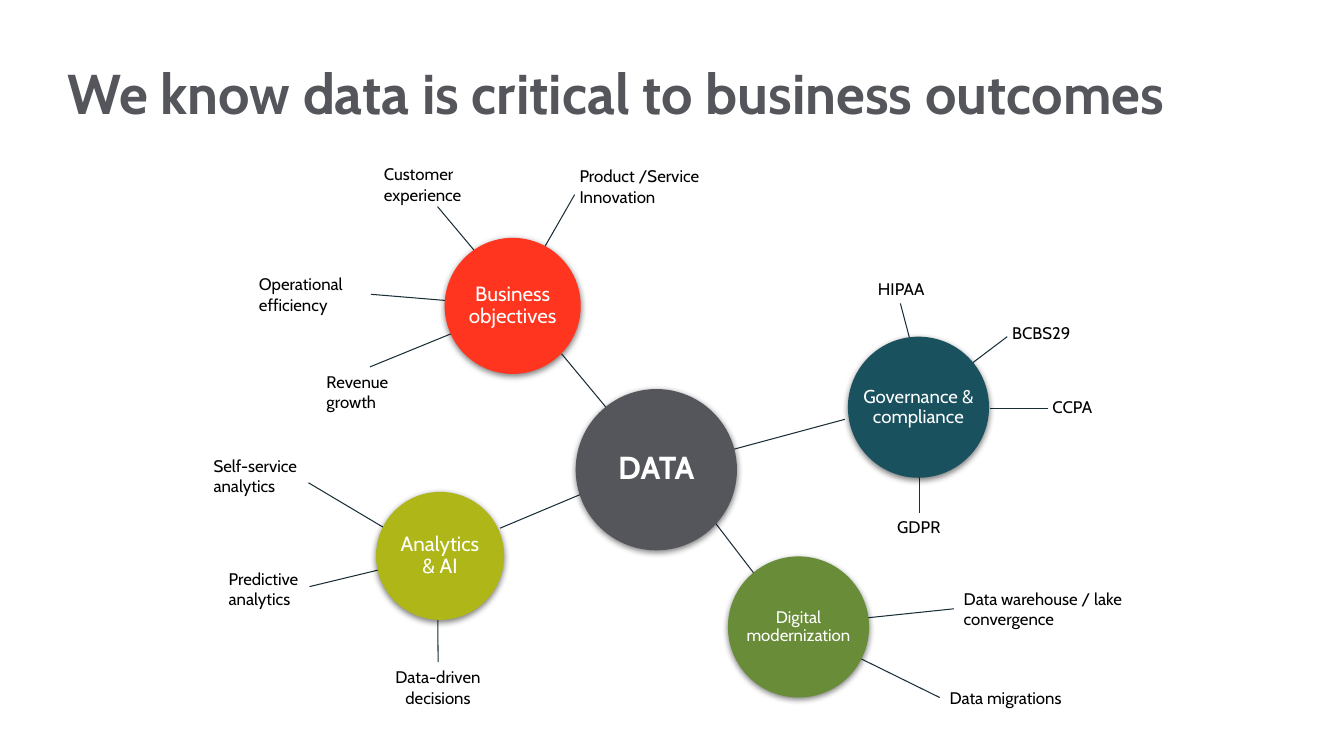
import pptx
import pptx.util
import pptx.dml.color
import pptx.enum.shapes
import pptx.enum.text
import pptx.oxml
import pptx.oxml.ns

PX = 9144
FONT = "Cabin"
RGBColor = pptx.dml.color.RGBColor
GREY = RGBColor(0x54, 0x56, 0x5B)
BLACK = RGBColor(0, 0, 0)
WHITE = RGBColor(0xFF, 0xFF, 0xFF)
INK = RGBColor(0x19, 0x2E, 0x36)
TEAL = RGBColor(0x1A, 0x51, 0x5F)
RED = RGBColor(0xFF, 0x35, 0x1F)
LIME = RGBColor(0xAE, 0xB6, 0x18)
GREEN = RGBColor(0x68, 0x8C, 0x38)
LEFT = pptx.enum.text.PP_ALIGN.LEFT
CENTER = pptx.enum.text.PP_ALIGN.CENTER
TOP = pptx.enum.text.MSO_ANCHOR.TOP
MIDDLE = pptx.enum.text.MSO_ANCHOR.MIDDLE

SHADOW = (
    f'<a:effectLst {pptx.oxml.ns.nsdecls("a")}>'
    '<a:outerShdw blurRad="57150" dist="19050" dir="5400000" algn="ctr" rotWithShape="0">'
    '<a:srgbClr val="000000"><a:alpha val="49000"/></a:srgbClr>'
    '</a:outerShdw></a:effectLst>'
)
NO_EFFECT = f'<a:effectLst {pptx.oxml.ns.nsdecls("a")}/>'

LABELS = [
    ("Customer experience", (371, 158, 116, 50), LEFT, (506, 291), (434, 205), None),
    ("Product /Service Innovation", (565, 160, 153, 50), LEFT, (515, 289), (570, 193), None),
    ("Operational efficiency", (247, 267, 121, 50), LEFT, (489, 302), (368, 292), 3),
    ("Revenue growth", (314, 364, 106, 50), LEFT, (509, 306), (367, 364), 0),
    ("Self-service analytics", (202, 447, 127, 50), LEFT, (427, 551), (306, 479), None),
    ("Predictive analytics", (217, 559, 106, 50), LEFT, (423, 554), (307, 582), None),
    ("Data-driven decisions", (371, 657, 127, 50), CENTER, (434, 561), (434, 657), 0),
    ("HIPAA", (861, 272, 93, 30), LEFT, (902, 335), (893, 301), None),
    ("BCBS29", (994, 315, 93, 30), LEFT, (962, 362), (999, 334), None),
    ("CCPA", (1034, 389, 82, 30), LEFT, (982, 405), (1039, 405), None),
    ("GDPR", (880, 508, 82, 30), LEFT, (912, 461), (912, 509), None),
    ("Data warehouse / lake convergence", (946, 579, 179, 50), LEFT, (802, 619), (946, 604), 1),
    ("Data migrations", (932, 677, 157, 30), LEFT, (798, 626), (932, 692), 1),
]

SPOKES = [
    ((606, 410), (557, 351)),
    ((577, 490), (496, 524)),
    ((702, 509), (751, 573)),
    ((671, 461), (838, 416)),
]

HUBS = [
    ("DATA", (571, 386, 160), GREY, 22.7, True),
    ("Governance &\vcompliance", (841, 334, 140), TEAL, 13.3, False),
    ("Business\vobjectives", (441, 236, 135), RED, 14.7, False),
    ("Analytics\n& AI", (373, 488, 127), LIME, 14.7, False),
    ("Digital\vmodernization", (722, 552, 140), GREEN, 12, False),
]


def px(*lengths):
    return [pptx.util.Emu(length * PX) for length in lengths]


def write(frame, text, *, size, color, bold=False, align=LEFT, anchor=TOP,
          spacing=1.0, inset=(10, 5), wrap=True):
    frame.word_wrap = wrap
    frame.vertical_anchor = anchor
    across, down = px(*inset)
    frame.margin_left = frame.margin_right = across
    frame.margin_top = frame.margin_bottom = down
    frame.text = text
    for paragraph in frame.paragraphs:
        paragraph.alignment = align
        paragraph.line_spacing = spacing
        font = paragraph.font
        font.name = FONT
        font.size = pptx.util.Pt(size)
        font.bold = bold
        font.color.rgb = color


def add_title(slide, text):
    title = slide.shapes.add_textbox(*px(67, 64, 1235, 64))
    write(title.text_frame, text, size=40, color=GREY, bold=True,
          anchor=MIDDLE, spacing=0.9, inset=(0, 5))


def add_label(slide, text, place, align):
    label = slide.shapes.add_textbox(*px(*place))
    write(label.text_frame, text, size=12, color=BLACK, align=align)
    label.text_frame.auto_size = pptx.enum.text.MSO_AUTO_SIZE.SHAPE_TO_FIT_TEXT
    return label


def add_spoke(slide, start, end):
    spoke = slide.shapes.add_connector(
        pptx.enum.shapes.MSO_CONNECTOR.STRAIGHT, *px(*start, *end))
    spoke.line.color.rgb = INK
    spoke.line.width = pptx.util.Pt(0.75)
    spoke._element.spPr.append(pptx.oxml.parse_xml(NO_EFFECT))
    return spoke


def add_hub(slide, text, place, fill, size, bold):
    left, top, diameter = place
    hub = slide.shapes.add_shape(
        pptx.enum.shapes.MSO_SHAPE.OVAL, *px(left, top, diameter, diameter))
    hub.fill.solid()
    hub.fill.fore_color.rgb = fill
    hub.line.fill.background()
    hub._element.spPr.append(pptx.oxml.parse_xml(SHADOW))
    write(hub.text_frame, text, size=size, color=WHITE, bold=bold, align=CENTER,
          anchor=MIDDLE, spacing=0.9, inset=(3, 3), wrap=False)


def main():
    deck = pptx.Presentation()
    deck.slide_width, deck.slide_height = px(1333, 750)
    slide = deck.slides.add_slide(deck.slide_layouts[6])
    add_title(slide, "We know data is critical to business outcomes")
    for start, end in SPOKES:
        add_spoke(slide, start, end)
    for text, place, align, start, end, side in LABELS:
        label = add_label(slide, text, place, align)
        spoke = add_spoke(slide, start, end)
        if side is not None:
            spoke.end_connect(label, side)
    for hub in HUBS:
        add_hub(slide, *hub)
    deck.save("out.pptx")


if __name__ == "__main__":
    main()
